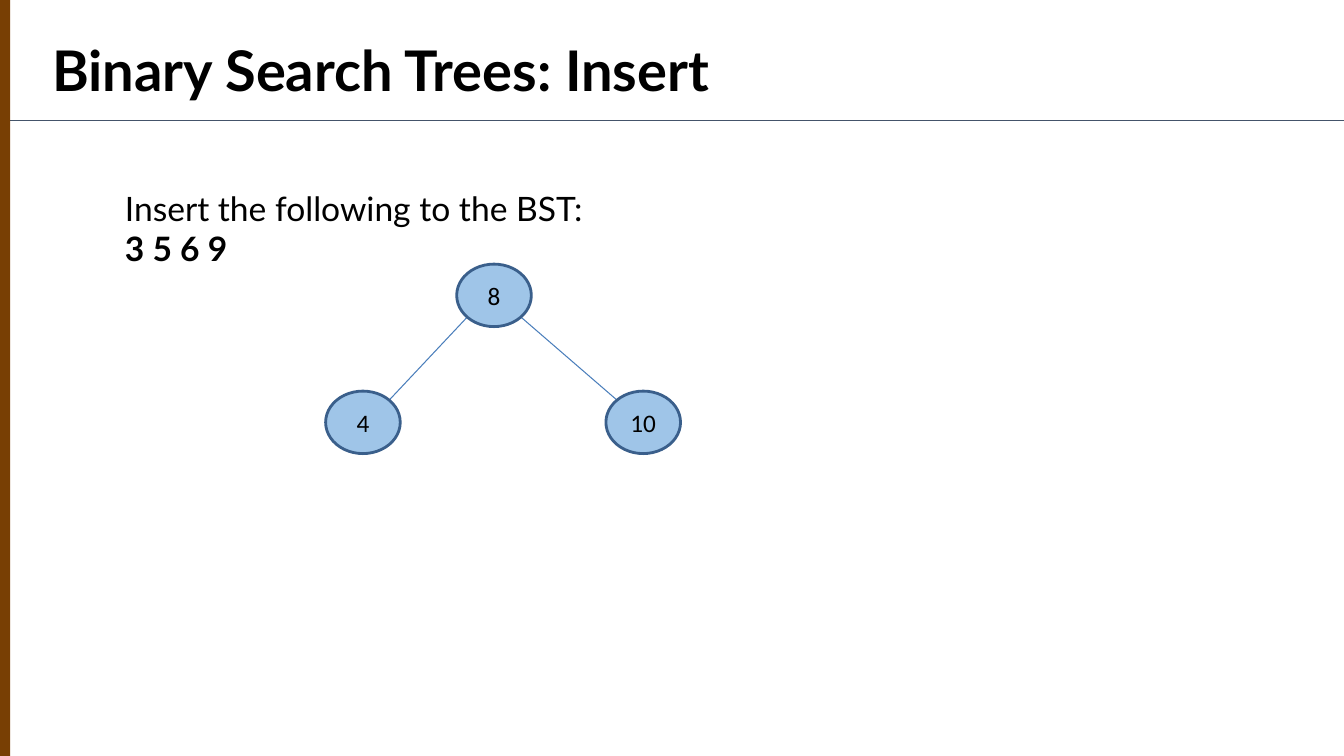
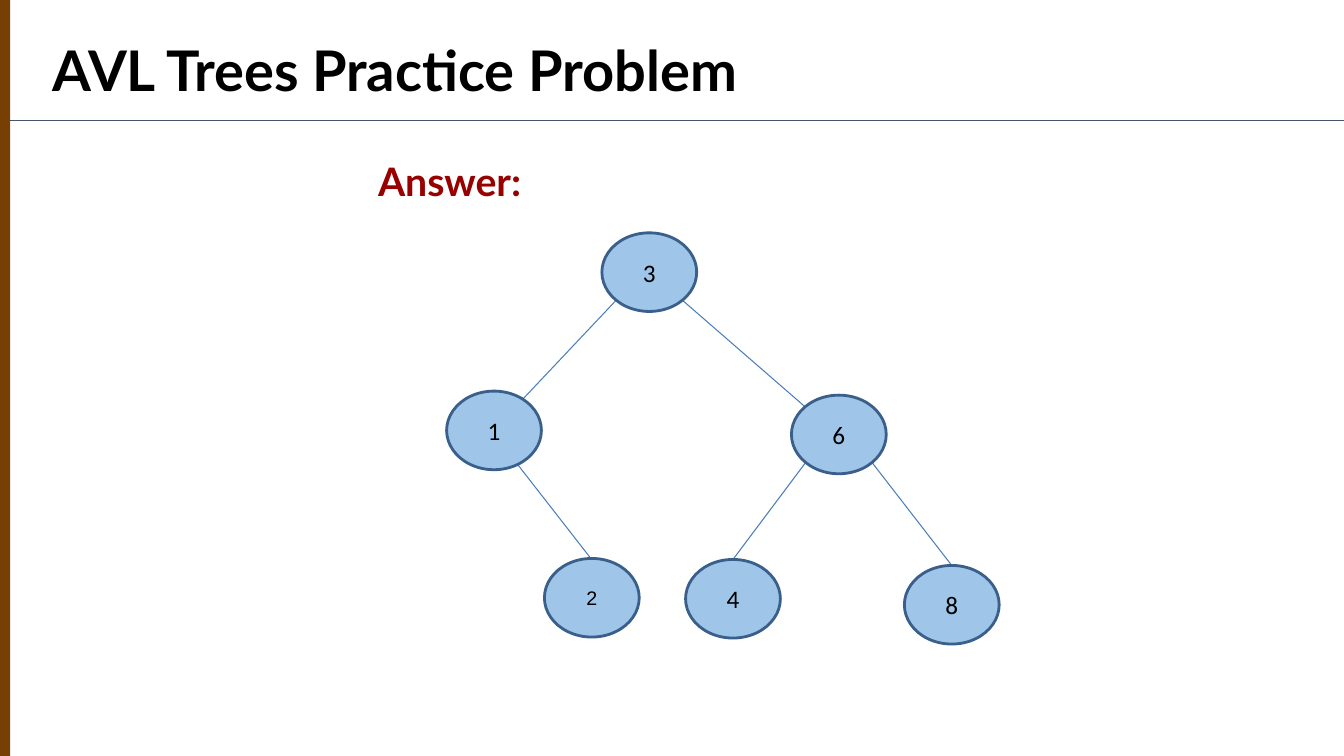
"""Build two slides on binary search trees and AVL trees."""
from lxml.etree import SubElement
from pptx import Presentation
from pptx.dml.color import RGBColor
from pptx.enum.shapes import MSO_CONNECTOR, MSO_SHAPE
from pptx.enum.text import MSO_ANCHOR, MSO_AUTO_SIZE, PP_ALIGN
from pptx.oxml.ns import qn
from pptx.util import Inches, Pt

COLORS = {
    "band": "783F04",
    "rule": "44546A",
    "node": "9FC5E8",
    "outline": "3A5F8B",
    "edge": "4A7EBB",
    "text": "000000",
    "answer": "980000",
}

PAGES = [
    {
        "title": "Binary Search Trees: Insert",
        "text_area": (1.14, 1.76, 7.75, 0.78),
        "margins": (0.1, 0.1),
        "lines": [("Insert the following to the BST:", 24, False, "text", 1.0),
                  ("3 5 6 9", 24, True, "text", 1.0)],
        "node_size": (0.74, 0.62),
        "nodes": [("8", 4.53, 2.62), ("4", 3.23, 3.88), ("10", 6.01, 3.88)],
        "edges": [(4.64, 3.14, 3.86, 3.97), (5.16, 3.14, 6.12, 3.97)],
    },
    {
        "title": "AVL Trees Practice Problem",
        "text_area": (3.75, 1.56, 5.66, 5.59),
        "margins": (0, 0.05),
        "lines": [("Answer:", 28, True, "answer", 0.9)],
        "node_size": (0.94, 0.78),
        "nodes": [("3", 5.97, 2.31), ("1", 4.43, 3.88), ("6", 7.85, 3.92),
                  ("2", 5.4, 5.54), ("4", 6.8, 5.55), ("8", 8.97, 5.61)],
        "edges": [(6.11, 2.98, 5.11, 4.04), (6.77, 2.98, 7.99, 4.04),
                  (5.12, 4.59, 5.86, 5.54), (7.99, 4.59, 7.27, 5.55),
                  (8.65, 4.59, 9.44, 5.61)],
    },
]
SMALL_LABELS = {"2": ("Arial", 14)}


def add_line(page, ends, color):
    line = page.shapes.add_connector(MSO_CONNECTOR.STRAIGHT, *map(Inches, ends))
    line.line.color.rgb = RGBColor.from_string(COLORS[color])
    line.line.width = Pt(0.75)
    SubElement(line._element.spPr, qn("a:effectLst"))


def style_text(paragraph, name, size, color="text", bold=False):
    for span in paragraph.runs:
        span.font.name = name
        span.font.size = Pt(size)
        span.font.bold = bold
        span.font.color.rgb = RGBColor.from_string(COLORS[color])


deck = Presentation()
deck.slide_width = Inches(13.33)
deck.slide_height = Inches(7.5)

for content in PAGES:
    page = deck.slides.add_slide(deck.slide_layouts[5])

    add_line(page, (0.1, 1.2, 13.33, 1.2), "rule")
    band = page.shapes.add_shape(MSO_SHAPE.RECTANGLE, 0, 0, Inches(0.1), deck.slide_height)
    band.shadow.inherit = False
    band.fill.solid()
    band.fill.fore_color.rgb = RGBColor.from_string(COLORS["band"])
    band.line.fill.background()

    title = page.shapes.title
    title.left, title.top, title.width, title.height = map(Inches, (0.42, 0.25, 12.91, 1.21))
    frame = title.text_frame
    frame.text = content["title"]
    frame.auto_size = MSO_AUTO_SIZE.NONE
    frame.vertical_anchor = MSO_ANCHOR.TOP
    frame.margin_left = frame.margin_right = Inches(0.1)
    frame.margin_top = frame.margin_bottom = Inches(0.1)
    frame.paragraphs[0].alignment = PP_ALIGN.LEFT
    style_text(frame.paragraphs[0], "Lato", 40, bold=True)

    box = page.shapes.add_textbox(*map(Inches, content["text_area"]))
    frame = box.text_frame
    frame.word_wrap = True
    side, end = map(Inches, content["margins"])
    frame.margin_left = frame.margin_right = side
    frame.margin_top = frame.margin_bottom = end
    frame.text = "\n".join(line[0] for line in content["lines"])
    for paragraph, line in zip(frame.paragraphs, content["lines"]):
        text, size, bold, color, spacing = line
        paragraph.line_spacing = spacing
        style_text(paragraph, "Lato", size, color, bold)

    for ends in content["edges"]:
        add_line(page, ends, "edge")

    width, height = map(Inches, content["node_size"])
    for label, left, top in content["nodes"]:
        node = page.shapes.add_shape(MSO_SHAPE.OVAL, Inches(left), Inches(top), width, height)
        node.shadow.inherit = False
        node.fill.solid()
        node.fill.fore_color.rgb = RGBColor.from_string(COLORS["node"])
        node.line.color.rgb = RGBColor.from_string(COLORS["outline"])
        node.line.width = Pt(2)
        node.text_frame.text = label
        node.text_frame.vertical_anchor = MSO_ANCHOR.MIDDLE
        paragraph = node.text_frame.paragraphs[0]
        paragraph.alignment = PP_ALIGN.CENTER
        style_text(paragraph, *SMALL_LABELS.get(label, ("Calibri", 18)))

deck.save("out.pptx")
